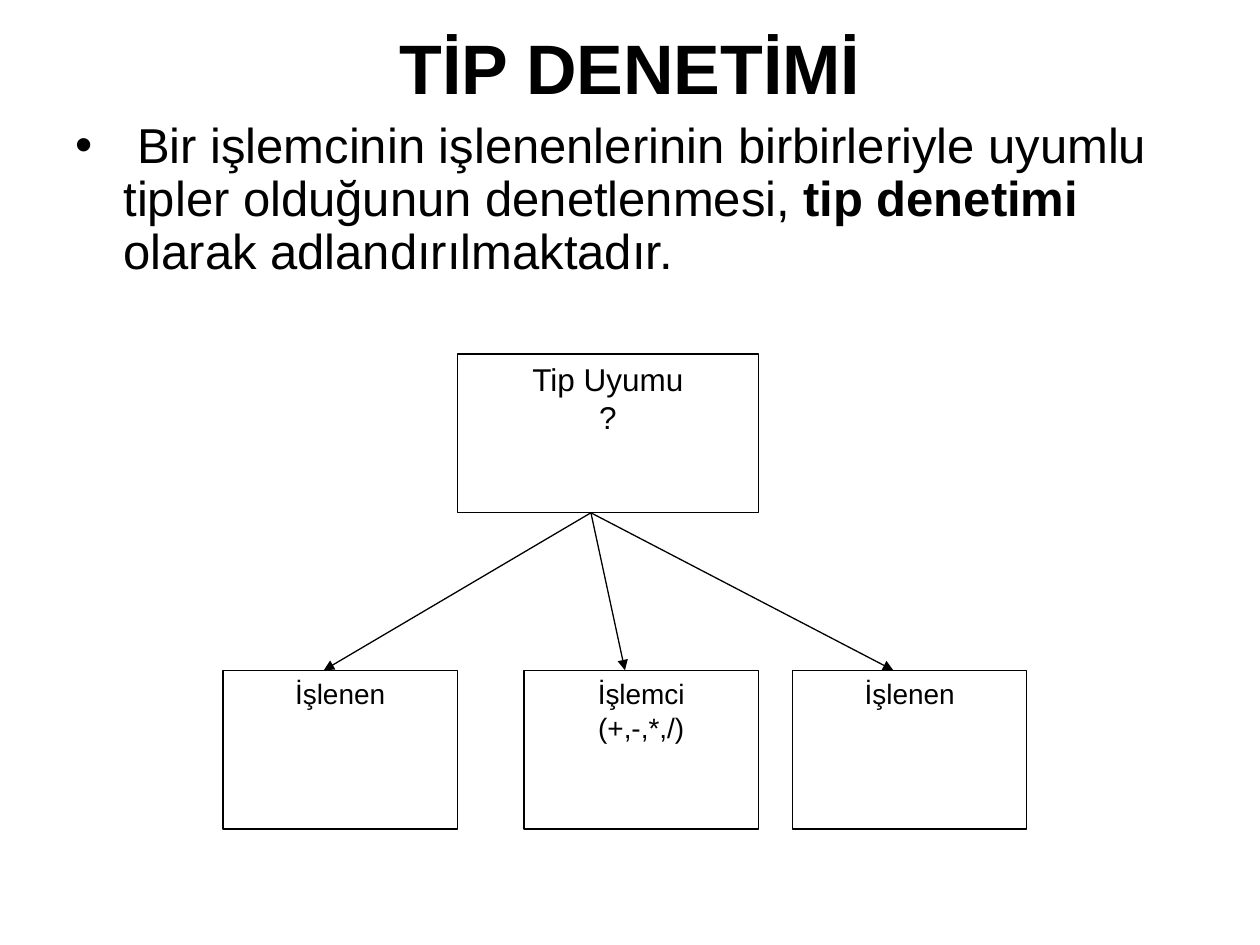
from lxml import etree
from pptx import Presentation
from pptx.dml.color import RGBColor
from pptx.enum import shapes, text
from pptx.oxml import ns
from pptx.util import Inches, Pt

COLORS = {"ink": "000000", "paper": "FFFFFF"}
INK = RGBColor.from_string(COLORS["ink"])
PAPER = RGBColor.from_string(COLORS["paper"])


def add_xml(parent, tag, **attributes):
    return etree.SubElement(parent, ns.qn(tag), attributes)


def format_paragraph(paragraph, size, align, bold=None):
    paragraph.alignment = align
    paragraph.font.name = "Arial"
    paragraph.font.size = Pt(size)
    paragraph.font.color.rgb = INK
    paragraph.font.bold = bold


prs = Presentation()
prs.slide_width, prs.slide_height = Inches(10), Inches(7.5)
slide = prs.slides.add_slide(prs.slide_layouts[1])
slide.background.fill.solid()
slide.background.fill.fore_color.rgb = PAPER

# Title
title = slide.shapes.title
title.left, title.top, title.width, title.height = map(Inches, (0.5, 0.3, 9, 0.46))
title.text_frame.text = "TİP DENETİMİ"
title.text_frame.auto_size = text.MSO_AUTO_SIZE.NONE
title.text_frame.vertical_anchor = text.MSO_ANCHOR.MIDDLE
format_paragraph(title.text_frame.paragraphs[0], 40, text.PP_ALIGN.CENTER, bold=True)

# Definition
definition = slide.placeholders[1]
definition.left, definition.top, definition.width, definition.height = map(
    Inches, (0.5, 0.91, 8.91, 1.5))
definition.text_frame.auto_size = text.MSO_AUTO_SIZE.NONE
sentence = definition.text_frame.paragraphs[0]
for words, bold in (
    (" Bir işlemcinin işlenenlerinin birbirleriyle uyumlu tipler olduğunun denetlenmesi,", None),
    (" tip denetimi", True),
    (" olarak adlandırılmaktadır.", None),
):
    run = sentence.add_run()
    run.text = words
    run.font.bold = bold
properties = sentence._p.get_or_add_pPr()
properties.set("marL", str(Inches(0.38)))
properties.set("indent", str(-Inches(0.38)))
add_xml(add_xml(properties, "a:buClr"), "a:srgbClr", val=COLORS["ink"])
add_xml(properties, "a:buFont", typeface="Arial")
add_xml(properties, "a:buChar", char="•")
format_paragraph(sentence, 28, text.PP_ALIGN.LEFT)
sentence.line_spacing = 0.9
sentence.space_before = Pt(0)

# Type-compatibility tree
tree = slide.shapes.add_group_shape()
BOX_HEIGHT = 1.26
ROOT_TOP, LEAF_TOP = 2.81, 5.32
nodes = (
    (3.63, ROOT_TOP, 2.39, 18, ("Tip Uyumu", "?")),
    (1.77, LEAF_TOP, 1.86, 16, ("İşlenen",)),
    (4.16, LEAF_TOP, 1.86, 16, ("İşlemci", "(+,-,*,/)")),
    (6.29, LEAF_TOP, 1.86, 16, ("İşlenen",)),
)
for left, top, width, size, lines in nodes:
    node = tree.shapes.add_shape(
        shapes.MSO_SHAPE.RECTANGLE,
        Inches(left), Inches(top), Inches(width), Inches(BOX_HEIGHT))
    node.shadow.inherit = False
    node.fill.solid()
    node.fill.fore_color.rgb = PAPER
    node.line.color.rgb = INK
    node.line.width = Pt(0.75)
    frame = node.text_frame
    frame.word_wrap = True
    frame.vertical_anchor = text.MSO_ANCHOR.TOP
    frame.text = "\n".join(lines)
    for paragraph in frame.paragraphs:
        format_paragraph(paragraph, size, text.PP_ALIGN.CENTER)

for target in (2.57, 4.96, 7.09):
    branch = tree.shapes.add_connector(
        shapes.MSO_CONNECTOR.STRAIGHT,
        Inches(4.69), Inches(ROOT_TOP + BOX_HEIGHT), Inches(target), Inches(LEAF_TOP))
    branch.line.color.rgb = INK
    branch.line.width = Pt(0.75)
    add_xml(branch.line._get_or_add_ln(), "a:tailEnd", type="triangle")
    add_xml(branch._element.spPr, "a:effectLst")

prs.save("out.pptx")
